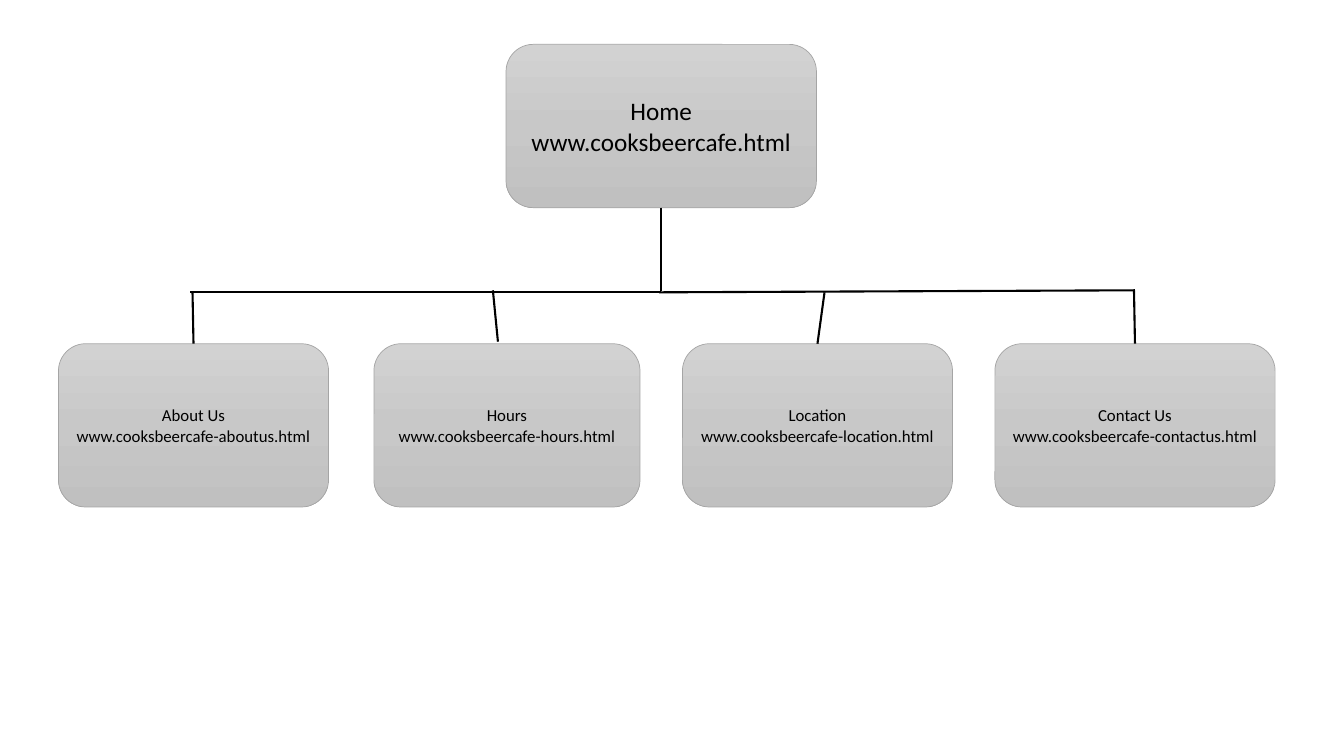
from copy import deepcopy
from dataclasses import dataclass
from typing import Optional

from pptx import Presentation
from pptx import util as u
from pptx.dml.color import RGBColor
from pptx.enum import shapes, text
from pptx.oxml import ns, xmlchemy

COLORS = {"top": "D2D2D2", "middle": "C8C8C8", "bottom": "C0C0C0",
          "border": "A5A5A5", "ink": "000000"}
PAGE_HEIGHT = 116.64
PAGE_TOP = 245.52


@dataclass
class Page:
    name: str
    address: str
    left: float
    width: float
    top: float = PAGE_TOP
    size: float = 12


@dataclass
class Link:
    start: tuple[float, float]
    end: tuple[float, float]
    parent: Optional[str] = None
    child: Optional[str] = None


PAGES = [
    Page("Home", "www.cooksbeercafe.html", 361.44, 221.76, 31.68, 18),
    Page("About Us", "www.cooksbeercafe-aboutus.html", 41.76, 192.96),
    Page("Hours", "www.cooksbeercafe-hours.html", 267.12, 190.08),
    Page("Location", "www.cooksbeercafe-location.html", 487.44, 192.96),
    Page("Contact Us", "www.cooksbeercafe-contactus.html", 710.64, 200.16),
]
LINKS = [
    Link((472.32, 148.32), (472.32, 208), parent="Home"),
    Link((472.32, 208.8), (136.08, 208.8)),
    Link((810.72, 207.36), (470.88, 208.8)),
    Link((137.52, 208.8), (138.24, PAGE_TOP), child="About Us"),
    Link((352.08, 207.36), (355.68, 244.08)),
    Link((810, 207.36), (810.72, PAGE_TOP), child="Contact Us"),
    Link((588.96, 208.8), (583.92, PAGE_TOP), child="Location"),
]


def color(name: str) -> RGBColor:
    """Return a palette colour."""
    return RGBColor.from_string(COLORS[name])


def add_page(s, page: Page):
    """Draw one page of the site as a shaded rounded box."""
    sp = s.shapes.add_shape(
        shapes.MSO_SHAPE.ROUNDED_RECTANGLE, u.Pt(page.left), u.Pt(page.top),
        u.Pt(page.width), u.Pt(PAGE_HEIGHT))
    sp.shadow.inherit = False
    sp.fill.gradient()
    sp.fill.gradient_angle = 270
    stops = sp._element.spPr.find(".//" + ns.qn("a:gsLst"))
    stops.insert(1, deepcopy(stops[0]))
    shades = zip(sp.fill.gradient_stops, (0, 0.5, 1), ("top", "middle", "bottom"))
    for stop, position, shade in shades:
        stop.position = position
        stop.color.rgb = color(shade)
    sp.line.color.rgb = color("border")
    sp.line.width = u.Pt(0.5)
    tf = sp.text_frame
    tf.word_wrap = False
    tf.vertical_anchor = text.MSO_ANCHOR.MIDDLE
    tf.text = f"{page.name}\n{page.address}"
    for p in tf.paragraphs:
        p.alignment = text.PP_ALIGN.CENTER
        p.font.name = "Calibri"
        p.font.size = u.Pt(page.size)
        p.font.color.rgb = color("ink")
    return sp


def add_link(s, link: Link, boxes: dict) -> None:
    """Draw one line of the tree, joined to its boxes."""
    line = s.shapes.add_connector(
        shapes.MSO_CONNECTOR.STRAIGHT, *map(u.Pt, link.start + link.end))
    line.line.color.rgb = color("ink")
    line.line.width = u.Pt(1.5)
    line._element.spPr.append(xmlchemy.OxmlElement("a:effectLst"))
    if link.parent:
        line.begin_connect(boxes[link.parent], 2)
    if link.child:
        line.end_connect(boxes[link.child], 0)


def main() -> None:
    """Build the site map slide."""
    prs = Presentation()
    prs.slide_width, prs.slide_height = u.Pt(960), u.Pt(540)
    s = prs.slides.add_slide(prs.slide_layouts[6])
    boxes = {page.name: add_page(s, page) for page in PAGES}
    for link in LINKS:
        add_link(s, link, boxes)
    prs.save("out.pptx")


if __name__ == "__main__":
    main()
